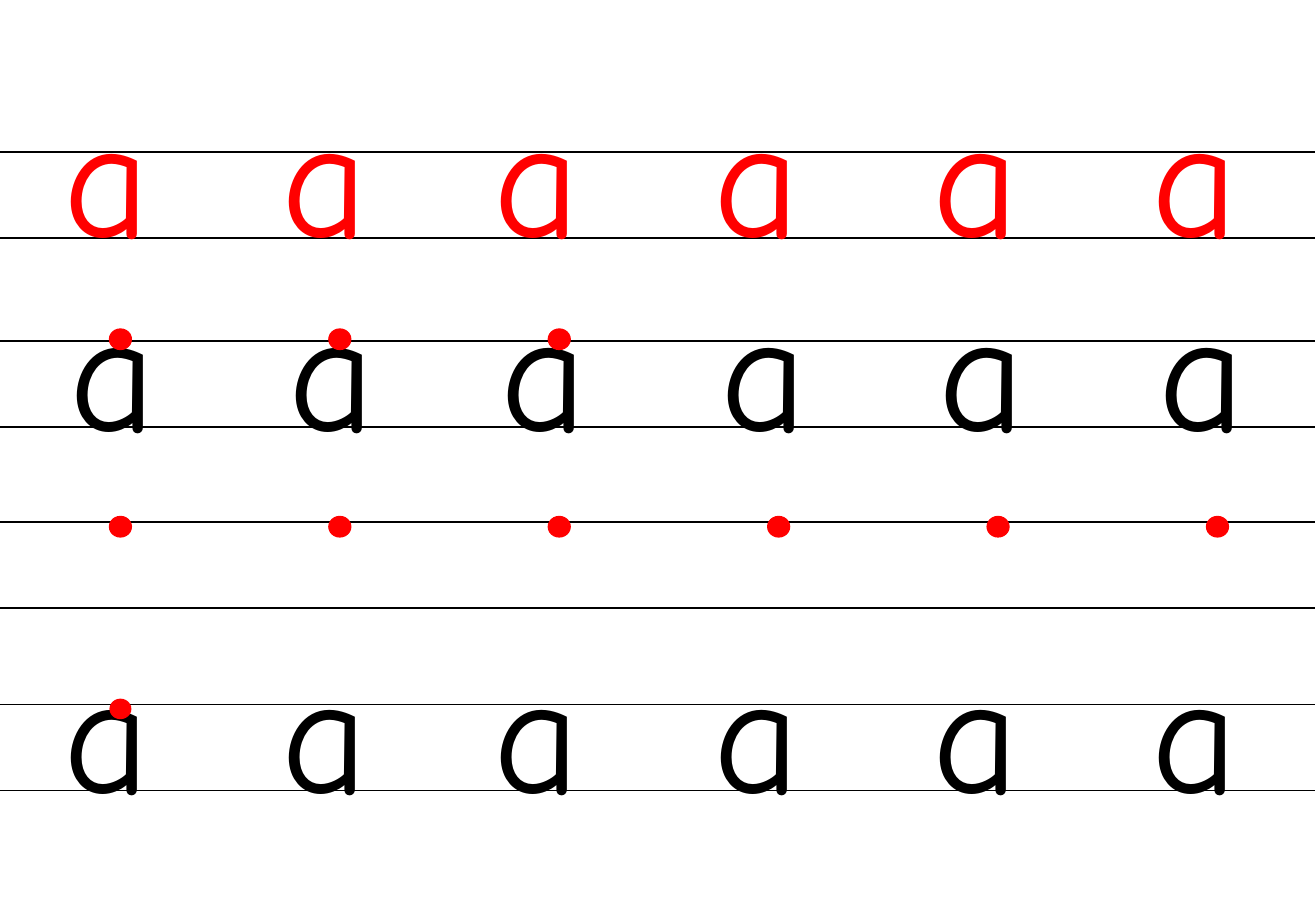
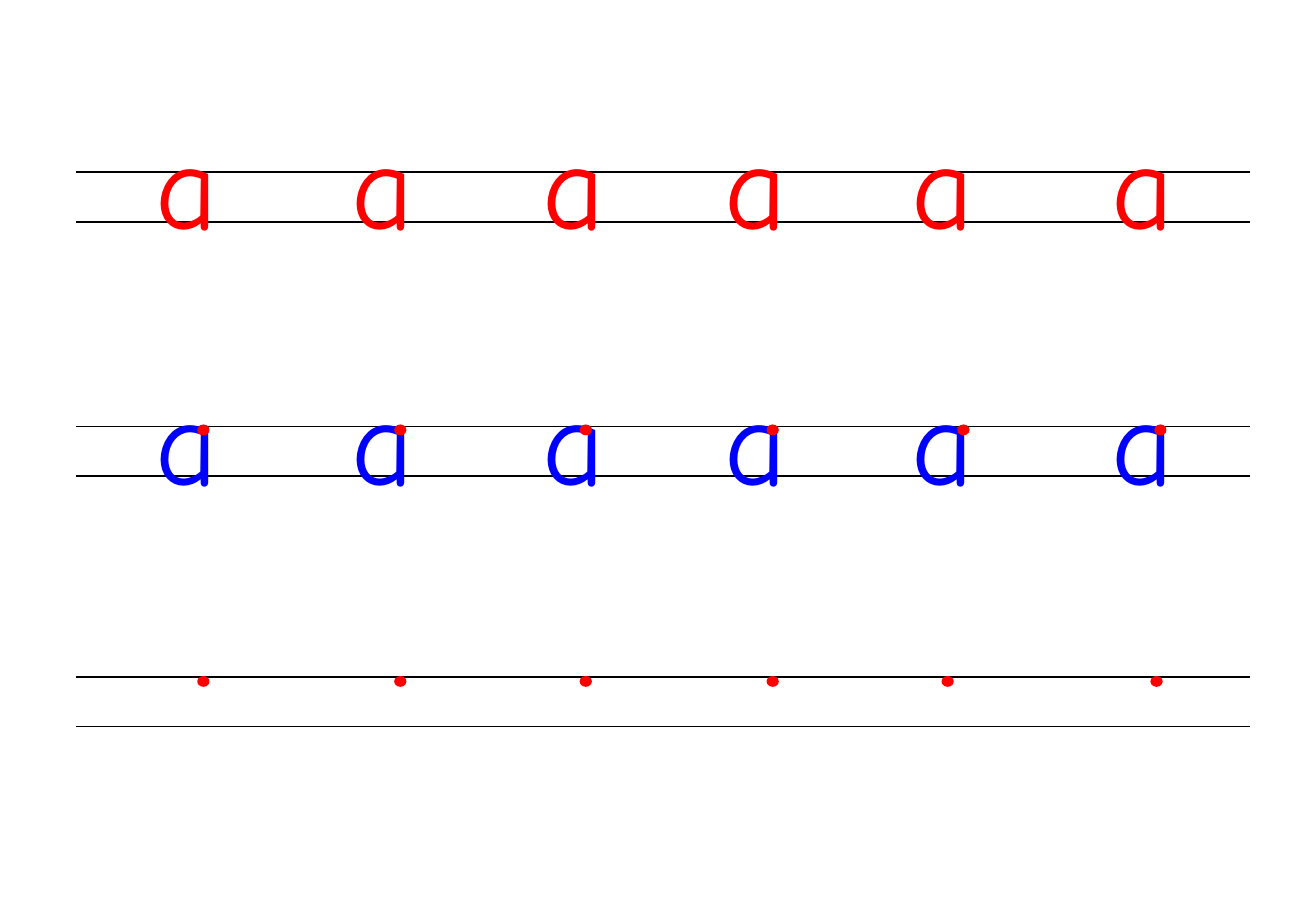
from dataclasses import dataclass

from lxml import etree
from pptx import Presentation
from pptx.dml.color import RGBColor
from pptx.enum.shapes import MSO_CONNECTOR, MSO_SHAPE
from pptx.enum.text import MSO_AUTO_SIZE
from pptx.oxml.ns import qn
from pptx.slide import Slide
from pptx.util import Cm, Pt

STRAIGHT = MSO_CONNECTOR.STRAIGHT
OVAL = MSO_SHAPE.OVAL
FIT_TEXT = MSO_AUTO_SIZE.SHAPE_TO_FIT_TEXT
BLANK_LAYOUT = 6


@dataclass(frozen=True)
class Theme:
    font: str = "Comic Neue"
    black: RGBColor = RGBColor(0, 0, 0)
    red: RGBColor = RGBColor(255, 0, 0)
    blue: RGBColor = RGBColor(0, 0, 255)
    large: int = 100
    small: int = 72
    rule_width: float = 1
    dot_outline: float = 0.75


THEME = Theme()


# All lengths below are centimetres.
@dataclass(frozen=True)
class SheetStyle:
    rule_left: float
    rule_right: float
    rule_gap: float
    letter_size: int
    letter_box: tuple[float, float]
    dot: tuple[float, float]


@dataclass(frozen=True)
class WritingRow:
    rule_top: float
    letter_top: float = 0
    letter_lefts: tuple[float, ...] = ()
    letter_color: RGBColor = THEME.black
    dot_top: float = 0
    dot_lefts: tuple[float, ...] = ()
    dot_outlined: bool = True


@dataclass(frozen=True)
class Sheet:
    style: SheetStyle
    rows: tuple[WritingRow, ...]


# Sheet with large letters
LARGE_LETTERS = (1.07, 5.64, 10.08, 14.68, 19.25, 23.85)
SHIFTED_LETTERS = tuple(left + 0.14 for left in LARGE_LETTERS)
LARGE_DOTS = tuple(2.29 + 4.59 * column for column in range(6))
LARGE_SHEET = Sheet(
    SheetStyle(0, 27.51, 1.8, THEME.large, (2.31, 4.5), (0.46, 0.43)),
    (
        WritingRow(3.18, 1.32, LARGE_LETTERS, THEME.red),
        WritingRow(7.13, 5.38, SHIFTED_LETTERS, dot_top=6.88, dot_lefts=LARGE_DOTS[:3]),
        WritingRow(10.92, dot_top=10.8, dot_lefts=LARGE_DOTS),
        WritingRow(14.73, 12.95, LARGE_LETTERS, dot_top=14.61,
                   dot_lefts=LARGE_DOTS[:1], dot_outlined=False),
    ),
)

# Sheet with small letters
SMALL_LETTERS = (3, 7.11, 11.1, 14.91, 18.82, 23.01)
SMALL_DOTS = (4.14, 8.26, 12.14, 16.05)
SMALL_SHEET = Sheet(
    SheetStyle(1.6, 26.14, 1.04, THEME.small, (1.8, 3.3), (0.23, 0.2)),
    (
        WritingRow(3.6, 2.13, SMALL_LETTERS, THEME.red),
        WritingRow(8.92, 7.49, SMALL_LETTERS, THEME.blue, 8.89, SMALL_DOTS + (20.04, 24.16)),
        WritingRow(14.15, dot_top=14.15, dot_lefts=SMALL_DOTS + (19.71, 24.08)),
    ),
)


def draw_rule(page: Slide, style: SheetStyle, top: float) -> None:
    rule = page.shapes.add_connector(
        STRAIGHT, Cm(style.rule_left), Cm(top), Cm(style.rule_right), Cm(top))
    rule.line.color.rgb = THEME.black
    rule.line.width = Pt(THEME.rule_width)
    etree.SubElement(rule._element.spPr, qn("a:effectLst"))


def draw_letter(page: Slide, style: SheetStyle, left: float, top: float,
                color: RGBColor) -> None:
    width, height = style.letter_box
    box = page.shapes.add_textbox(Cm(left), Cm(top), Cm(width), Cm(height))
    frame = box.text_frame
    for name, value in {"word_wrap": False, "auto_size": FIT_TEXT}.items():
        setattr(frame, name, value)
    span = frame.paragraphs[0].add_run()
    span.text = "a"
    for name, value in {"name": THEME.font, "size": Pt(style.letter_size)}.items():
        setattr(span.font, name, value)
    span.font.color.rgb = color


def draw_dot(page: Slide, style: SheetStyle, left: float, top: float,
             outlined: bool) -> None:
    width, height = style.dot
    dot = page.shapes.add_shape(OVAL, Cm(left), Cm(top), Cm(width), Cm(height))
    dot.shadow.inherit = False
    dot.fill.solid()
    dot.fill.fore_color.rgb = THEME.red
    if outlined:
        dot.line.color.rgb = THEME.red
        dot.line.width = Pt(THEME.dot_outline)
    else:
        dot.line.fill.background()


def draw_row(page: Slide, style: SheetStyle, row: WritingRow) -> None:
    for top in (row.rule_top, row.rule_top + style.rule_gap):
        draw_rule(page, style, top)
    for left in row.letter_lefts:
        draw_letter(page, style, left, row.letter_top, row.letter_color)
    for left in row.dot_lefts:
        draw_dot(page, style, left, row.dot_top, row.dot_outlined)


def main() -> None:
    deck = Presentation()
    deck.slide_width, deck.slide_height = Cm(27.53), Cm(19.05)
    for sheet in (LARGE_SHEET, SMALL_SHEET):
        page = deck.slides.add_slide(deck.slide_layouts[BLANK_LAYOUT])
        for row in sheet.rows:
            draw_row(page, sheet.style, row)
    deck.save("out.pptx")


if __name__ == "__main__":
    main()
